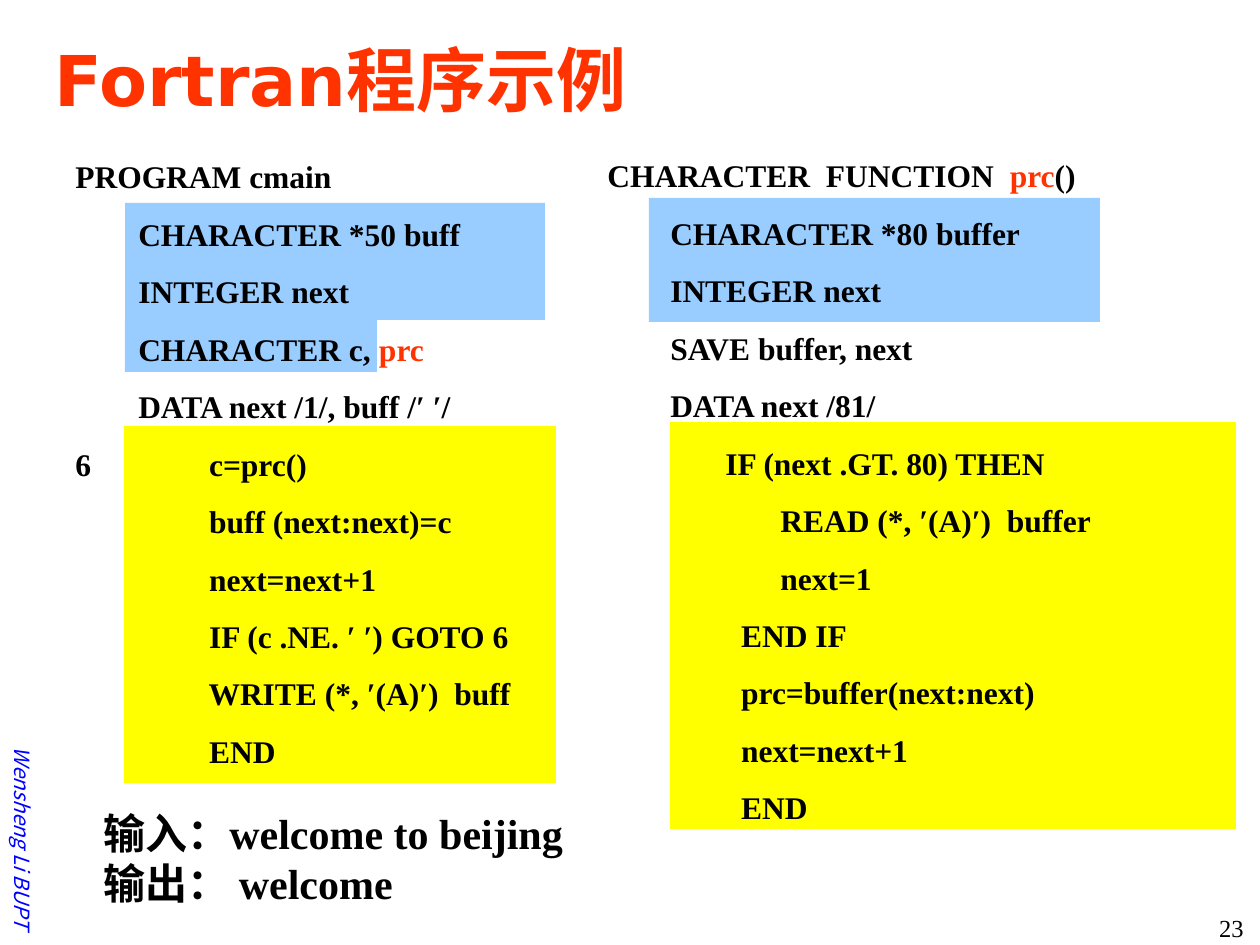
import pptx
import pptx.util
import pptx.dml.color
import pptx.enum.shapes
import pptx.enum.text
import lxml.etree

PX = 914400 / 126
SERIF, SANS, HAN = "Times New Roman", "DejaVu Sans", "Noto Sans CJK SC"
BLACK, RED, BLUE = "000000", "FF3300", "0000FF"
SKY, YELLOW = "99CCFF", "FFFF00"
ALIGN = pptx.enum.text.PP_ALIGN
ANCHOR = pptx.enum.text.MSO_ANCHOR

# Words between bars are shown in red.
MAIN = """PROGRAM cmain
        CHARACTER *50 buff
        INTEGER next
        CHARACTER c, |prc|
        DATA next /1/, buff /′ ′/
6               c=prc()
                 buff (next:next)=c
                 next=next+1
                 IF (c .NE. ′ ′) GOTO 6
                 WRITE (*, ′(A)′)  buff
                 END"""

FUNC = """CHARACTER  FUNCTION  |prc|()
        CHARACTER *80 buffer
        INTEGER next
        SAVE buffer, next
        DATA next /81/
               IF (next .GT. 80) THEN
                      READ (*, ′(A)′)  buffer
                      next=1
                 END IF
                 prc=buffer(next:next)
                 next=next+1
                 END"""


def px(n):
    return pptx.util.Emu(round(n * PX))


def rgb(code):
    return pptx.dml.color.RGBColor.from_string(code)


def style(font, size, face, color, bold, slant):
    font.size = pptx.util.Pt(size)
    font.name = face
    font.bold = bold
    font.italic = slant
    font.color.rgb = rgb(color)


def set_han(run):
    """Set the East Asian face of a run."""
    props = run.font._element
    tag = pptx.oxml.ns.qn("a:ea")
    lxml.etree.SubElement(props, tag).set("typeface", HAN)


class Page:
    def __init__(self, deck):
        self.shapes = deck.slides.add_slide(deck.slide_layouts[6]).shapes

    def block(self, box, fill):
        kind = pptx.enum.shapes.MSO_SHAPE.RECTANGLE
        shape = self.shapes.add_shape(kind, *map(px, box))
        shape.shadow.inherit = False
        shape.fill.solid()
        shape.fill.fore_color.rgb = rgb(fill)
        shape.line.fill.background()

    def text(self, box, words, size=18, face=SERIF, color=BLACK, bold=False,
             slant=False, align=ALIGN.LEFT, anchor=ANCHOR.TOP, line=1.0,
             gap=0, turn=0):
        shape = self.shapes.add_textbox(*map(px, box))
        shape.rotation = turn
        frame = shape.text_frame
        frame.word_wrap = True
        frame.vertical_anchor = anchor
        for row, content in enumerate(words.split("\n")):
            para = frame.paragraphs[0] if row == 0 else frame.add_paragraph()
            para.alignment = align
            para.line_spacing = line
            para.space_before = pptx.util.Pt(gap if row else 0)
            for part, piece in enumerate(content.split("|")):
                if piece:
                    run = para.add_run()
                    run.text = piece
                    tint = RED if part % 2 else color
                    style(run.font, size, face, tint, bold, slant)
                    set_han(run)

    def code(self, box, words):
        self.text(box, words, bold=True, line=1.3, gap=4.75)


def main():
    deck = pptx.Presentation()
    deck.slide_width, deck.slide_height = px(1260), px(945)
    page = Page(deck)

    page.text((-144, 756, 333, 38), "Wensheng Li BUPT", size=12, face=HAN,
              color=BLUE, slant=True, align=ALIGN.RIGHT,
              anchor=ANCHOR.MIDDLE, turn=90)
    page.text((1152, 907, 104, 38), "23", size=14, align=ALIGN.RIGHT)

    page.block((670, 422, 566, 407), YELLOW)
    page.block((124, 426, 432, 357), YELLOW)
    page.block((125, 320, 252, 52), SKY)
    page.block((125, 203, 420, 117), SKY)
    page.code((63, 140, 557, 645), MAIN)
    page.block((649, 198, 451, 124), SKY)

    page.text((42, 21, 1187, 116), "Fortran程序示例", size=40, face=SANS,
              color=RED, bold=True, anchor=ANCHOR.MIDDLE)
    page.code((595, 139, 665, 692), FUNC)
    page.text((91, 801, 1061, 115),
              "输入：welcome to beijing\n输出： welcome", size=24, bold=True)

    deck.save("out.pptx")


if __name__ == "__main__":
    main()
